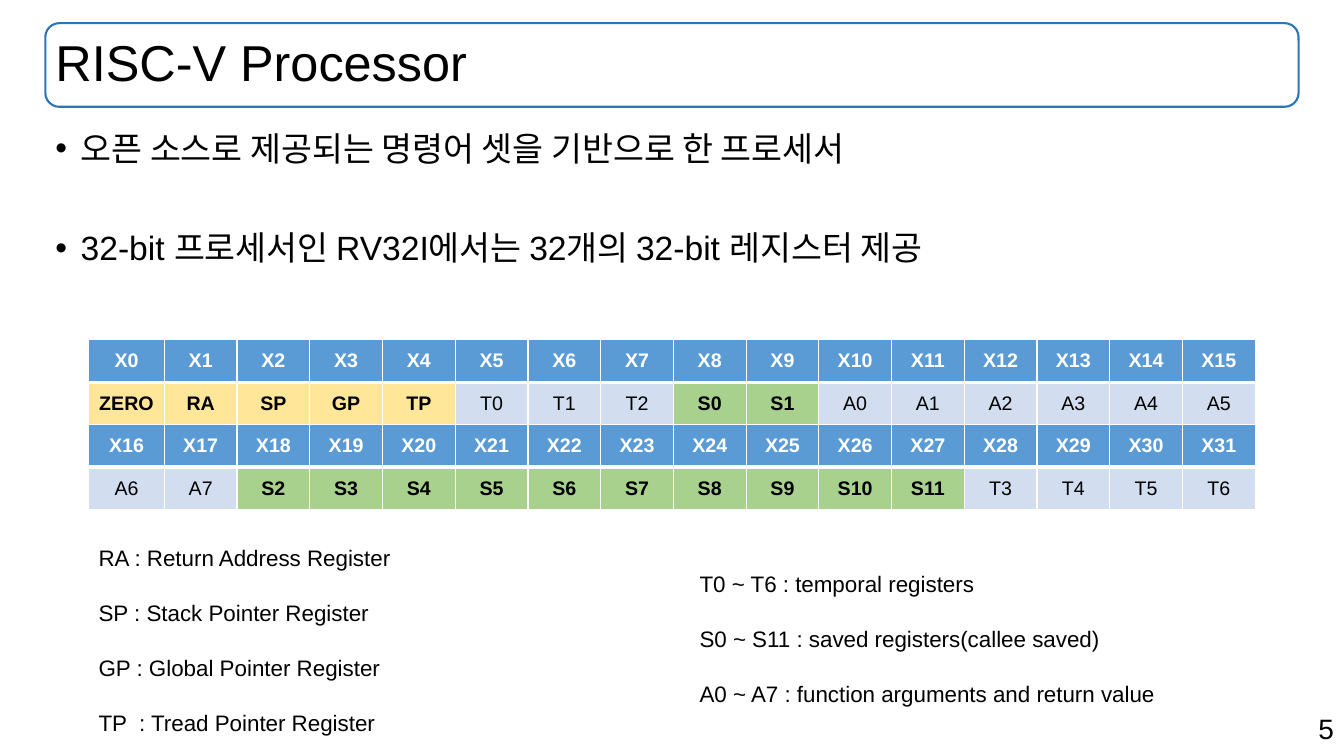
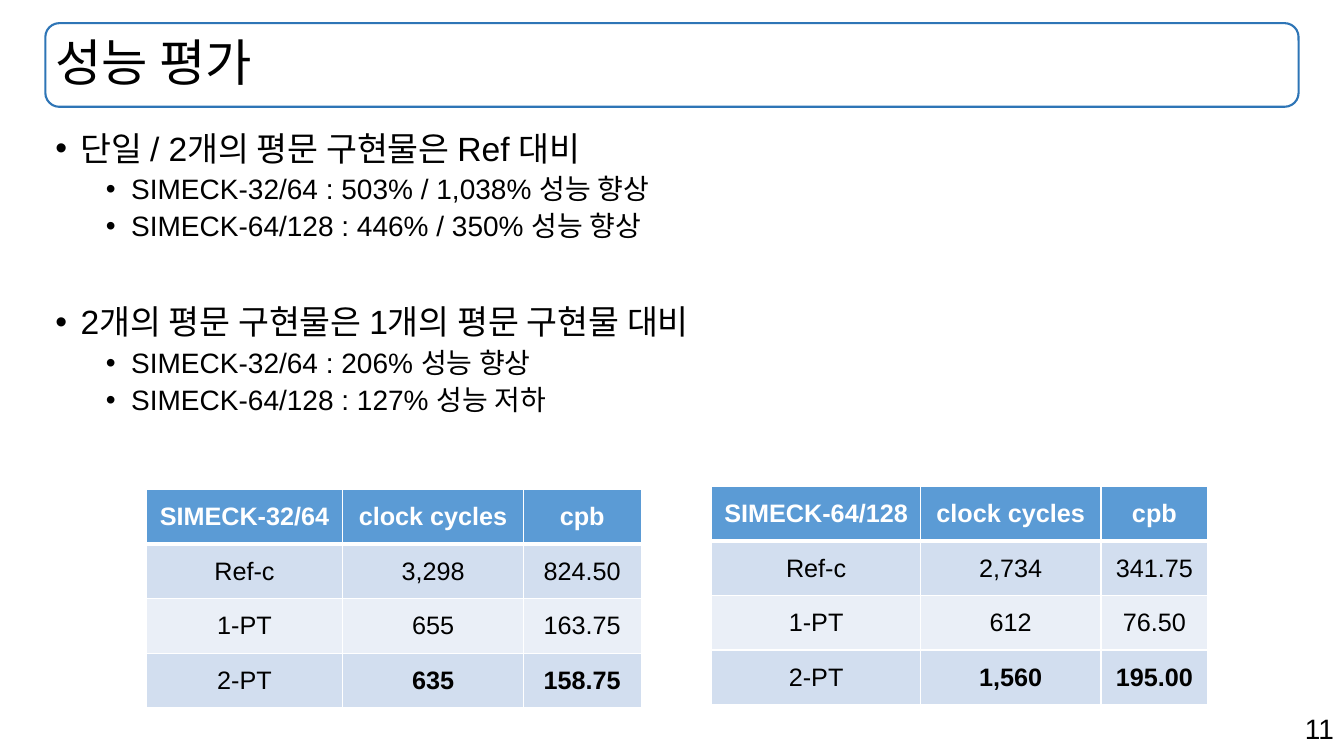
from lxml.etree import SubElement
from pptx import Presentation
from pptx.dml.color import RGBColor
from pptx.enum.shapes import MSO_SHAPE as Preset
from pptx.enum.text import MSO_ANCHOR as Anchor, MSO_AUTO_SIZE as AutoSize, PP_ALIGN as Align
from pptx.oxml.ns import qn
from pptx.util import Inches, Pt

COLORS = {
    "text": "000000", "white": "FFFFFF", "frame": "2E75B6", "header": "5B9BD5",
    "band": "D2DEEF", "light": "EAEFF7", "special": "FFE699", "saved": "A9D18E",
}
FONT = "Arial"
CONTENT_LEFT, CONTENT_WIDTH = Inches(0.45), Inches(12.43)
TITLE_FRAME = (CONTENT_LEFT, Inches(0.23), CONTENT_WIDTH, Inches(0.83))
BODY_FRAME = (CONTENT_LEFT, Inches(1.26), CONTENT_WIDTH, Inches(5.53))
LEVEL_STYLES = [(24, 10, 0.25), (20, 5, 0.75)]  # size, space before, indent
SECTION_GAP = 45


def style(paragraph, size, color="text", bold=False, align=Align.LEFT):
    paragraph.alignment = align
    font = paragraph.font
    font.name, font.size, font.bold = FONT, Pt(size), bold
    font.color.rgb = RGBColor.from_string(COLORS[color])


def add_grid(slide, left, top, widths, row_height, rows, size):
    """Each cell is (text, fill, bold); the first row is the header."""
    grid = slide.shapes.add_table(
        len(rows), len(widths), Inches(left), Inches(top),
        Inches(sum(widths)), Inches(row_height * len(rows))).table
    for column, width in zip(grid.columns, widths):
        column.width = Inches(width)
    for r, row in enumerate(rows):
        grid.rows[r].height = Inches(row_height)
        for c, (text, fill, bold) in enumerate(row):
            cell = grid.cell(r, c)
            cell.text = text
            cell.vertical_anchor = Anchor.MIDDLE
            cell.margin_left = cell.margin_right = Inches(0.05)
            style(cell.text_frame.paragraphs[0], size,
                  "white" if r == 0 else "text", bold, Align.CENTER)
            # Borders come before the fill in the cell properties
            properties = cell._tc.get_or_add_tcPr()
            for side in ("lnL", "lnR", "lnT", "lnB"):
                heavy = (r, side) in ((0, "lnB"), (1, "lnT"))
                line = SubElement(properties, qn(f"a:{side}"), w=str(Pt(3 if heavy else 1)))
                SubElement(SubElement(line, qn("a:solidFill")), qn("a:srgbClr"),
                           val=COLORS["white"])
            cell.fill.solid()
            cell.fill.fore_color.rgb = RGBColor.from_string(COLORS[fill])


prs = Presentation()
prs.slide_width, prs.slide_height = Inches(13.33), Inches(7.5)

# Title, page number and list of each slide: (text, level) pairs
pages = [
    ("RISC-V Processor", "5", [
        ("오픈 소스로 제공되는 명령어 셋을 기반으로 한 프로세서", 0),
        ("32-bit 프로세서인 RV32I에서는 32개의 32-bit 레지스터 제공", 0),
    ]),
    ("성능 평가", "11", [
        ("단일 / 2개의 평문 구현물은 Ref 대비", 0),
        ("SIMECK-32/64 : 503% / 1,038% 성능 향상", 1),
        ("SIMECK-64/128 : 446% / 350% 성능 향상", 1),
        ("2개의 평문 구현물은 1개의 평문 구현물 대비", 0),
        ("SIMECK-32/64 : 206% 성능 향상", 1),
        ("SIMECK-64/128 : 127% 성능 저하", 1),
    ]),
]
slides = []
for heading, number, points in pages:
    slide = prs.slides.add_slide(prs.slide_layouts[1])
    slides.append(slide)

    # Title in its rounded frame
    frame = slide.shapes.add_shape(Preset.ROUNDED_RECTANGLE, *TITLE_FRAME)
    frame.shadow.inherit = False
    frame.fill.background()
    frame.line.color.rgb = RGBColor.from_string(COLORS["frame"])
    frame.line.width = Pt(1.5)
    slide.shapes._spTree.insert(2, frame._element)
    title, body = slide.shapes.title, slide.placeholders[1]
    for holder, place in ((title, TITLE_FRAME), (body, BODY_FRAME)):
        holder.left, holder.top, holder.width, holder.height = place
        holder.text_frame.auto_size = AutoSize.NONE
    title.text_frame.text = heading
    title.text_frame.vertical_anchor = Anchor.MIDDLE
    title.text_frame.paragraphs[0].line_spacing = 0.9
    style(title.text_frame.paragraphs[0], 36)

    # Bulleted list
    body.text_frame.text = "\n".join(text for text, level in points)
    for i, (paragraph, (text, level)) in enumerate(zip(body.text_frame.paragraphs, points)):
        size, space, indent = LEVEL_STYLES[level]
        paragraph.level = level
        properties = paragraph._p.get_or_add_pPr()
        properties.set("marL", str(Inches(indent)))
        properties.set("indent", str(Inches(-0.25)))
        SubElement(properties, qn("a:buFont"), typeface=FONT)
        SubElement(properties, qn("a:buChar"), char="•")
        paragraph.line_spacing = 0.9
        if i == 0:
            space = 0
        elif level == 0:
            space = SECTION_GAP
        paragraph.space_before = Pt(space)
        style(paragraph, size)

    # Page number
    page = slide.shapes.add_textbox(Inches(9.43), Inches(7.01), Inches(3.9), Inches(0.44))
    page.text_frame.word_wrap = True
    page.text_frame.text = number
    style(page.text_frame.paragraphs[0], 20, align=Align.RIGHT)

registers, results = slides

# Register tables: 16 registers each, filled by role
aliases = (["ZERO", "RA", "SP", "GP", "TP", "T0", "T1", "T2", "S0", "S1"]
           + [f"A{n}" for n in range(8)] + [f"S{n}" for n in range(2, 12)]
           + [f"T{n}" for n in range(3, 7)])
role_fills = ["special" if i < 5 else "saved" if alias.startswith("S") else "band"
              for i, alias in enumerate(aliases)]
register_widths = [0.75] + [(11.57 - 0.75) / 15] * 15
for first, top in ((0, 3.37), (16, 4.21)):
    span = range(first, first + 16)
    add_grid(registers, 0.88, top, register_widths, 0.425, [
        [(f"X{i}", "header", True) for i in span],
        [(aliases[i], role_fills[i], role_fills[i] != "band") for i in span],
    ], 14)

# Register legends
legends = [
    (0.88, 5.35, 3.6, 1.99, ["RA : Return Address Register", "SP : Stack Pointer Register",
                             "GP : Global Pointer Register", "TP  : Tread Pointer Register"]),
    (6.84, 5.61, 5.2, 1.45, ["T0 ~ T6 : temporal registers",
                             "S0 ~ S11 : saved registers(callee saved)",
                             "A0 ~ A7 : function arguments and return value"]),
]
for left, top, width, height, entries in legends:
    legend = registers.shapes.add_textbox(*map(Inches, (left, top, width, height))).text_frame
    legend.word_wrap = True
    legend.text = "\n".join(entries)
    for i, paragraph in enumerate(legend.paragraphs):
        paragraph.space_before = Pt(20 if i else 0)
        style(paragraph, 16)

# Performance tables
benchmarks = [
    (1.45, 4.86, [1.95, 1.79, 1.17], "SIMECK-32/64",
     [("3,298", "824.50"), ("655", "163.75"), ("635", "158.75")]),
    (7.06, 4.83, [2.07, 1.79, 1.06], "SIMECK-64/128",
     [("2,734", "341.75"), ("612", "76.50"), ("1,560", "195.00")]),
]
for left, top, widths, cipher, measures in benchmarks:
    rows = [[(text, "header", True) for text in (cipher, "clock cycles", "cpb")]]
    for variant, fill, values in zip(("Ref-c", "1-PT", "2-PT"), ("band", "light", "band"), measures):
        rows.append([(variant, fill, False)]
                    + [(value, fill, variant == "2-PT") for value in values])
    add_grid(results, left, top, widths, 0.54, rows, 18)

prs.save("out.pptx")
